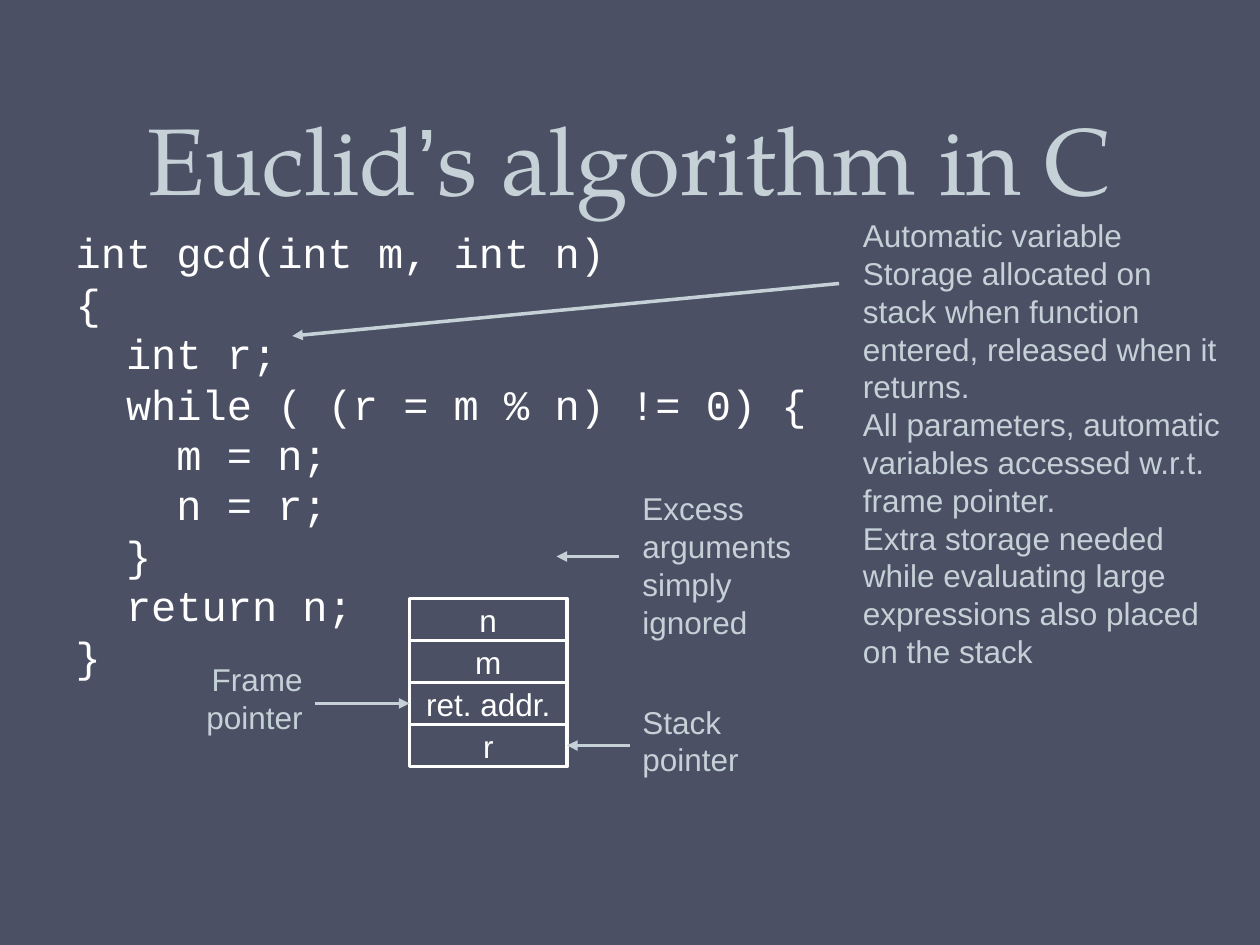
from lxml.etree import SubElement
from pptx import Presentation
from pptx.dml.color import RGBColor
from pptx.enum.shapes import MSO_CONNECTOR, MSO_SHAPE
from pptx.enum.text import MSO_ANCHOR, MSO_AUTO_SIZE, PP_ALIGN
from pptx.oxml.ns import qn
from pptx.util import Pt

SLATE = RGBColor(0x4B, 0x50, 0x64)
MIST = RGBColor(0xC5, 0xD1, 0xD7)
WHITE = RGBColor(0xFF, 0xFF, 0xFF)
LEFT, MID, RIGHT = PP_ALIGN.LEFT, PP_ALIGN.CENTER, PP_ALIGN.RIGHT
TOP, CENTER, BOTTOM = MSO_ANCHOR.TOP, MSO_ANCHOR.MIDDLE, MSO_ANCHOR.BOTTOM
FIXED = MSO_AUTO_SIZE.NONE
STRAIGHT, RECT = MSO_CONNECTOR.STRAIGHT, MSO_SHAPE.RECTANGLE

SERIF, SANS, MONO = "TeX Gyre Pagella", "Arial", "Courier New"
HEAD = [("Euclid", SERIF), ("’", SANS), ("s algorithm in C", SERIF)]
CODE = """int gcd(int m, int n)
{
  int r;
  while ( (r = m % n) != 0) {
    m = n;
    n = r;
  }
  return n;
}"""
NOTES = [
    "Automatic variable",
    "Storage allocated on stack when function entered, released when it returns.",
    "All parameters, automatic variables accessed w.r.t. frame pointer.",
    "Extra storage needed while evaluating large expressions also placed on the stack",
]
LABELS = [
    (NOTES, (486, 120, 222, 360), LEFT),
    (["Frame pointer"], (96, 373.5, 84, 52), RIGHT),
    (["Stack pointer"], (360, 398, 84, 52), LEFT),
    (["Excess arguments simply ignored"], (360, 276, 120, 96.5), LEFT),
]
ARROWS = [
    (479.5, 162, 167, 192),
    (180, 402, 234, 402),
    (360, 426, 324, 426),
    (354, 318, 318, 318),
]
STACK = ["n", "m", "ret. addr.", "r"]
CELL = 24


def style(item, **look):
    for name, value in look.items():
        setattr(item, name, value)


def place(shape, box):
    sides = ("left", "top", "width", "height")
    style(shape, **dict(zip(sides, map(Pt, box))))


def add_run(para, text, font, size, color):
    run = para.add_run()
    run.text = text
    style(run.font, name=font, size=Pt(size))
    run.font.color.rgb = color


def fill_text(frame, lines, font, size, color, **look):
    for i, line in enumerate(lines):
        para = frame.add_paragraph() if i else frame.paragraphs[0]
        style(para, **look)
        add_run(para, line, font, size, color)


def set_title(slide):
    title = slide.shapes.title
    place(title, (36, 0, 648, 126))
    frame = title.text_frame
    style(frame, vertical_anchor=BOTTOM, auto_size=FIXED, word_wrap=True)
    para = frame.paragraphs[0]
    style(para, alignment=MID, line_spacing=Pt(58))
    for text, font in HEAD:
        add_run(para, text, font, 54, MIST)


def set_code(slide):
    body = slide.placeholders[1]
    place(body, (36, 126, 648, 356.5))
    frame = body.text_frame
    style(frame, vertical_anchor=TOP, auto_size=FIXED, word_wrap=True)
    fill_text(frame, CODE.splitlines(), MONO, 24, WHITE,
              alignment=LEFT, line_spacing=Pt(28.8), space_before=Pt(0))
    frame.paragraphs[0].space_before = Pt(2.5)
    for para in frame.paragraphs:
        props = para._p.get_or_add_pPr()
        props.set("marL", str(Pt(27)))
        props.set("indent", str(Pt(-27)))
        SubElement(props, qn("a:buNone"))


def add_label(slide, lines, box, align):
    frame = slide.shapes.add_textbox(*map(Pt, box)).text_frame
    style(frame, word_wrap=True, vertical_anchor=TOP)
    fill_text(frame, lines, SANS, 18, MIST, alignment=align)


def add_cell(slide, text, top):
    cell = slide.shapes.add_shape(RECT, Pt(234), Pt(top), Pt(90), Pt(CELL))
    cell.shadow.inherit = False
    cell.fill.background()
    cell.line.color.rgb = WHITE
    cell.line.width = Pt(2)
    frame = cell.text_frame
    style(frame, word_wrap=False, vertical_anchor=CENTER)
    fill_text(frame, [text], SANS, 18, WHITE, alignment=MID)


def add_arrow(slide, ends):
    arrow = slide.shapes.add_connector(STRAIGHT, *map(Pt, ends))
    arrow.line.color.rgb = MIST
    arrow.line.width = Pt(2)
    SubElement(arrow.line._get_or_add_ln(), qn("a:tailEnd"), type="triangle")
    SubElement(arrow._element.spPr, qn("a:effectLst"))


def main():
    deck = Presentation()
    style(deck, slide_width=Pt(720), slide_height=Pt(540))
    slide = deck.slides.add_slide(deck.slide_layouts[1])
    slide.background.fill.solid()
    slide.background.fill.fore_color.rgb = SLATE
    set_title(slide)
    set_code(slide)
    for label in LABELS:
        add_label(slide, *label)
    for i, text in enumerate(STACK):
        add_cell(slide, text, 342 + i * CELL)
    for ends in ARROWS:
        add_arrow(slide, ends)
    deck.save("out.pptx")


if __name__ == "__main__":
    main()
